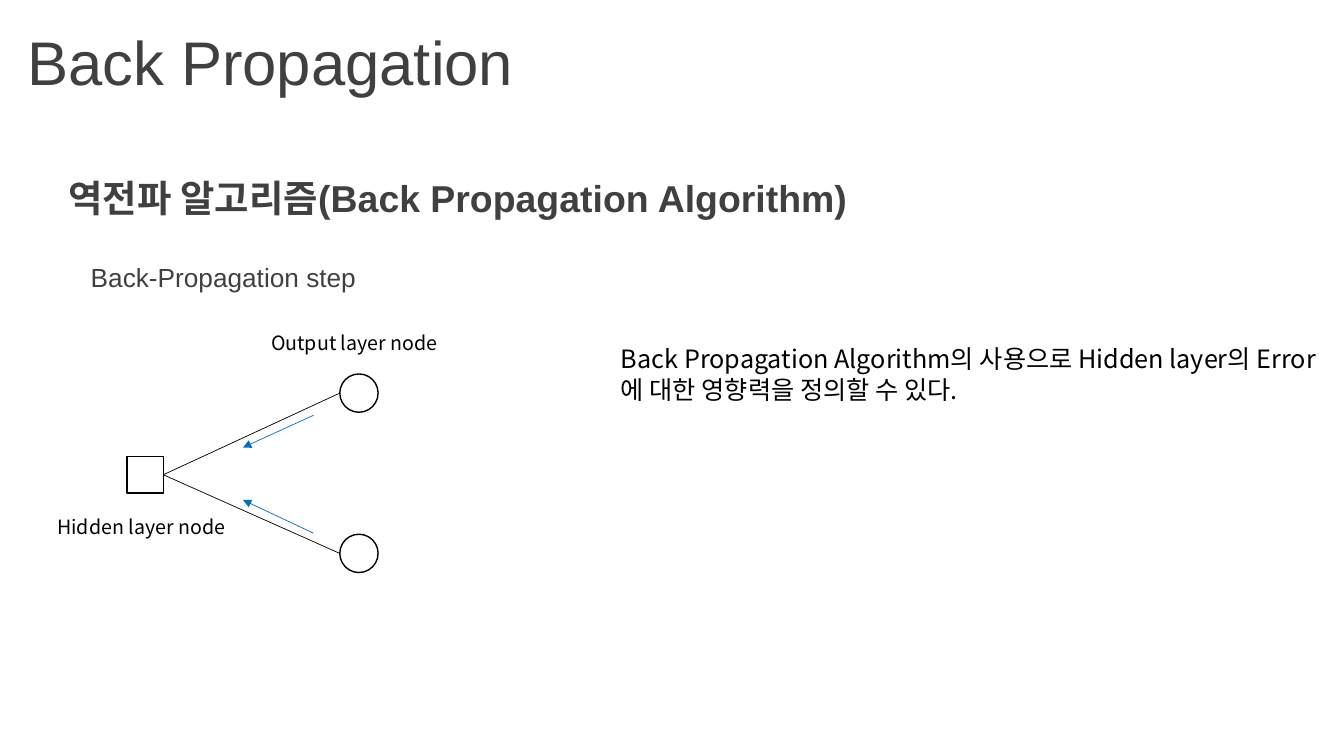
from dataclasses import dataclass

from lxml import etree
from pptx import Presentation
from pptx.dml.color import RGBColor
from pptx.enum.shapes import MSO_CONNECTOR, MSO_SHAPE
from pptx.enum.text import MSO_ANCHOR
from pptx.oxml.ns import qn
from pptx.util import Inches, Pt

STRAIGHT = MSO_CONNECTOR.STRAIGHT
OVAL = MSO_SHAPE.OVAL
RECTANGLE = MSO_SHAPE.RECTANGLE
TOP = MSO_ANCHOR.TOP
MIDDLE = MSO_ANCHOR.MIDDLE
RIGHT_SIDE = 3


@dataclass(frozen=True)
class Theme:
    heading: RGBColor = RGBColor(0x40, 0x40, 0x40)
    ink: RGBColor = RGBColor(0, 0, 0)
    paper: RGBColor = RGBColor(0xFF, 0xFF, 0xFF)
    arrow: RGBColor = RGBColor(0x00, 0x70, 0xC0)
    heading_font: str = "Arial"
    body_font: str = "Noto Sans CJK KR"
    title_size: float = 44
    subtitle_size: float = 26.7
    step_size: float = 18.7
    body_size: float = 18
    label_size: float = 14


theme = Theme()

presentation = Presentation()
presentation.slide_width = Inches(13.33)
presentation.slide_height = Inches(7.5)
slide = presentation.slides.add_slide(presentation.slide_layouts[6])


def add_text(text, *, box, size, color=theme.ink, font=theme.body_font,
             bold=False, anchor=TOP, inset=0.1, line_spacing=1.0):
    shape = slide.shapes.add_textbox(*map(Inches, box))
    frame = shape.text_frame
    frame.word_wrap = True
    frame.vertical_anchor = anchor
    frame.margin_left = Inches(inset)
    paragraph = frame.paragraphs[0]
    paragraph.line_spacing = line_spacing
    run = paragraph.add_run()
    run.text = text
    run.font.name = font
    run.font.size = Pt(size)
    run.font.bold = bold
    run.font.color.rgb = color
    east_asian = etree.SubElement(run.font._element, qn("a:ea"))
    east_asian.set("typeface", theme.body_font)


def add_line(start, end, color):
    line = slide.shapes.add_connector(STRAIGHT, *map(Inches, (*start, *end)))
    line.line.color.rgb = color
    line.line.width = Pt(0.5)
    etree.SubElement(line._element.spPr, qn("a:effectLst"))
    return line


heading_style = dict(color=theme.heading, font=theme.heading_font, line_spacing=0.9)
add_text("Back Propagation", box=(0, 0, 13.33, 1.29), size=theme.title_size,
         anchor=MIDDLE, inset=0.27, **heading_style)
add_text("역전파 알고리즘(Back Propagation Algorithm)", box=(0.58, 1.65, 12.39, 0.67),
         size=theme.subtitle_size, bold=True, anchor=MIDDLE, **heading_style)
add_text("Back-Propagation step", box=(0.47, 2.58, 12.39, 4.37),
         size=theme.step_size, inset=0.43, **heading_style)
add_text("Back Propagation Algorithm의 사용으로 Hidden layer의 Error에 대한 영향력을 정의할 수 있다.",
         box=(6.06, 3.36, 7.22, 0.71), size=theme.body_size)

nodes = []
for kind, left, top, side in (
    (RECTANGLE, 1.26, 4.53, 0.36),
    (OVAL, 3.37, 3.71, 0.38),
    (OVAL, 3.37, 5.3, 0.38),
):
    node = slide.shapes.add_shape(kind, *map(Inches, (left, top, side, side)))
    node.shadow.inherit = False
    node.fill.solid()
    node.fill.fore_color.rgb = theme.paper
    node.line.color.rgb = theme.ink
    node.line.width = Pt(1)
    nodes.append(node)

hidden_node = nodes[0]
for output_y in (3.9, 5.49):
    edge = add_line((1.62, 4.71), (3.37, output_y), theme.ink)
    edge.begin_connect(hidden_node, RIGHT_SIDE)

for label, left, top in (("Hidden layer node", 0.47, 5.06), ("Output layer node", 2.59, 3.23)):
    add_text(label, box=(left, top, 1.94, 0.34), size=theme.label_size)

for start_y, end_y in ((4.12, 4.44), (5.29, 4.96)):
    error_arrow = add_line((3.11, start_y), (2.41, end_y), theme.arrow)
    arrowhead = etree.SubElement(error_arrow.line._get_or_add_ln(), qn("a:tailEnd"))
    arrowhead.set("type", "triangle")

presentation.save("out.pptx")
